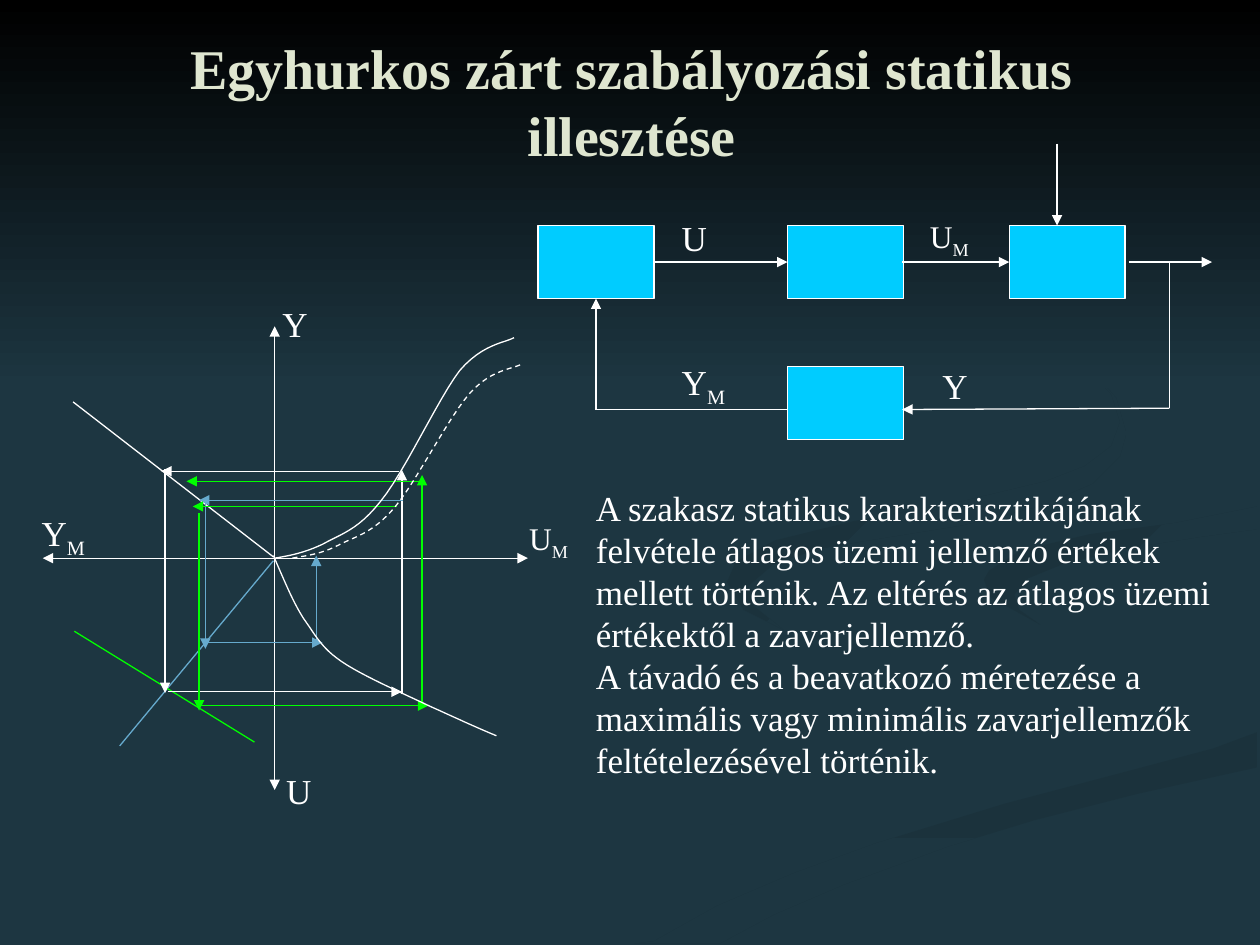
from dataclasses import dataclass

from pptx import Presentation
from pptx.dml.color import RGBColor
from pptx.enum.dml import MSO_LINE
from pptx.enum.shapes import MSO_CONNECTOR, MSO_SHAPE
from pptx.enum.text import MSO_ANCHOR, MSO_AUTO_SIZE, PP_ALIGN
from pptx.oxml.ns import qn
from pptx.util import Inches, Pt
from lxml.etree import SubElement

Point = tuple[float, float]


@dataclass(frozen=True)
class Theme:
    font: str = "Times New Roman"
    ground: str = "1D3641"
    shade: str = "1B323C"
    haze: str = "1C343E"
    black: str = "000000"
    white: str = "FFFFFF"
    title: str = "DFE6D0"
    block: str = "00CCFF"
    blue: str = "66AACD"
    green: str = "00FF00"
    title_size: float = 32
    text_size: float = 20
    small_size: float = 18
    line_width: float = 0.75


@dataclass(frozen=True)
class Line:
    start: Point
    end: Point
    color: str
    arrows: str = ""  # "tail", "head" or "head tail"


@dataclass(frozen=True)
class Label:
    left: float
    top: float
    letter: str
    subscript: str = ""
    size: float = 20


@dataclass(frozen=True)
class Swirl:
    start_color: str
    end_color: str
    angle: float
    points: list[Point]


@dataclass(frozen=True)
class Curve:
    points: list[Point]  # start, then two controls and an end per segment
    dashed: bool = False


THEME = Theme()
WHITE, BLUE, GREEN = THEME.white, THEME.blue, THEME.green

SWIRLS = [
    Swirl(THEME.ground, THEME.haze, 0, [
        (7.81, 5.53), (7.45, 5.38), (6.82, 5.19), (6.26, 5.02), (5.94, 4.85), (5.76, 4.69),
        (5.75, 4.59), (5.7, 4.7), (5.86, 4.87), (6.31, 5.05), (6.97, 5.25), (7.52, 5.43),
        (7.81, 5.56), (7.86, 5.66), (7.74, 5.83), (7.39, 5.98), (6.84, 6.13), (5.79, 6.39),
        (4.99, 6.61), (4.17, 6.9), (3.38, 7.27), (3, 7.49), (3.61, 7.49), (4.31, 7.14),
        (4.99, 6.87), (5.64, 6.65), (6.51, 6.4), (7.4, 6.18), (7.86, 6.01), (8, 5.81), (7.92, 5.61)]),
    Swirl(THEME.ground, THEME.haze, 315, [
        (9.43, 5.7), (9.3, 5.53), (9.05, 5.4), (8.5, 5.24), (7.92, 5.09), (7.45, 4.9),
        (7.24, 4.64), (7.33, 4.88), (7.66, 5.12), (8.15, 5.3), (8.68, 5.44), (9, 5.57),
        (9.18, 5.81), (8.94, 6.05), (9.25, 5.93), (9.41, 5.81)]),
    Swirl(THEME.shade, THEME.ground, 270, [
        (5.19, 7.47), (5.03, 7.49), (5.71, 7.49), (6.14, 7.26), (6.7, 7.02), (7.52, 6.72),
        (8.21, 6.51), (9.03, 6.3), (9.98, 6.09), (9.98, 5.81), (9.63, 5.94), (9.03, 6.1),
        (7.97, 6.38), (6.96, 6.69), (6.3, 6.93), (5.69, 7.19)]),
    Swirl(THEME.shade, THEME.ground, 315, [
        (7.81, 4.6), (7.86, 4.74), (8.26, 4.96), (8.09, 4.84), (8.05, 4.72), (8.16, 4.59),
        (8.43, 4.48), (8.96, 4.35), (9.54, 4.26), (9.98, 4.2), (9.98, 4.02), (9.33, 4.15),
        (8.65, 4.24), (8.1, 4.37), (7.85, 4.53)]),
    Swirl(THEME.shade, THEME.ground, 315, [
        (6.83, 4.3), (7.64, 4.17), (8.25, 4.02), (8.67, 3.84), (8.89, 3.62), (8.94, 3.44),
        (8.86, 3.16), (8.64, 2.91), (8.21, 2.61), (7.62, 2.33), (8.26, 2.66), (8.62, 2.92),
        (8.82, 3.13), (8.89, 3.35), (8.82, 3.54), (8.61, 3.7), (8.3, 3.82), (7.63, 3.98),
        (6.76, 4.14), (6.15, 4.29), (5.84, 4.46), (5.77, 4.62), (5.9, 4.84), (6.22, 5),
        (5.97, 4.8), (5.94, 4.65), (6.14, 4.48), (6.49, 4.36)]),
    Swirl(THEME.black, THEME.ground, 270, [(0, 0), (10, 0), (10, 3.08), (0, 3.08)]),
]

BLOCK_SIZE = (0.92, 0.58)
BLOCKS = [(4.27, 1.79), (6.25, 1.79), (8.01, 1.79), (6.25, 2.91)]

LINES = [
    # Control loop
    Line((4.73, 3.25), (4.73, 2.37), WHITE, "tail"),
    Line((4.73, 3.25), (6.25, 3.25), WHITE),
    Line((8.96, 2.08), (9.62, 2.08), WHITE, "tail"),
    Line((9.28, 3.24), (7.16, 3.25), WHITE, "tail"),
    Line((9.28, 3.24), (9.28, 2.08), WHITE),
    Line((5.2, 2.08), (6.25, 2.08), WHITE, "tail"),
    Line((7.16, 2.08), (8.01, 2.08), WHITE, "tail"),
    Line((8.39, 1.14), (8.39, 1.79), WHITE, "tail"),
    # Axes
    Line((2.18, 6.27), (2.18, 2.59), WHITE, "head tail"),
    Line((0.34, 4.43), (4.19, 4.43), WHITE, "head tail"),
    # Straight characteristics
    Line((0.58, 3.19), (2.17, 4.42), WHITE),
    Line((2.17, 4.45), (0.95, 5.92), BLUE),
    Line((0.59, 5.01), (2.02, 5.89), GREEN),
    # White working cycle
    Line((3.19, 5.51), (3.19, 3.73), WHITE, "tail"),
    Line((3.17, 3.74), (1.28, 3.74), WHITE, "tail"),
    Line((1.33, 5.49), (3.19, 5.49), WHITE, "tail"),
    Line((1.31, 5.5), (1.31, 3.72), WHITE, "head"),
    # Blue working cycle
    Line((3.2, 3.97), (1.58, 3.97), BLUE, "tail"),
    Line((1.63, 3.97), (1.63, 5.15), BLUE, "tail"),
    Line((1.63, 5.1), (2.56, 5.1), BLUE, "tail"),
    Line((2.51, 5.1), (2.51, 4.41), BLUE, "tail"),
    # Green working cycle
    Line((3.15, 4.02), (1.53, 4.02), GREEN, "tail"),
    Line((1.58, 4.07), (1.58, 5.64), GREEN, "tail"),
    Line((1.58, 5.6), (3.4, 5.6), GREEN, "tail"),
    Line((3.35, 5.6), (3.35, 3.77), GREEN, "tail"),
    Line((3.37, 3.82), (1.48, 3.82), GREEN, "tail"),
]

CURVES = [
    Curve([(2.18, 4.43), (2.3, 4.41), (2.41, 4.39), (2.56, 4.32), (2.7, 4.24), (2.84, 4.21),
           (3.02, 3.98), (3.21, 3.75), (3.48, 3.16), (3.65, 2.94), (3.83, 2.73), (4.01, 2.72), (4.08, 2.68)]),
    Curve([(2.17, 4.41), (2.25, 4.59), (2.32, 4.77), (2.41, 4.91), (2.51, 5.05), (2.55, 5.14),
           (2.71, 5.25), (2.87, 5.36), (3.19, 5.5), (3.4, 5.6), (3.6, 5.69), (3.77, 5.77), (3.94, 5.84)]),
    Curve([(2.32, 4.43), (2.43, 4.41), (2.54, 4.4), (2.68, 4.33), (2.81, 4.26), (2.95, 4.24),
           (3.13, 4.03), (3.3, 3.83), (3.56, 3.31), (3.73, 3.12), (3.9, 2.93), (4.07, 2.93), (4.14, 2.89)], True),
]

LABELS = [
    Label(2.22, 2.4, "Y"), Label(4.18, 4.12, "U", "M", THEME.small_size),
    Label(2.25, 6.11, "U"), Label(0.31, 4.06, "Y", "M"),
    Label(7.46, 2.89, "Y"), Label(7.36, 1.72, "U", "M", THEME.small_size),
    Label(5.39, 1.72, "U"), Label(5.39, 2.86, "Y", "M"),
]

BODY = [
    [("A szakasz statikus karakterisztikájának felvétele átlagos üzemi jellemző értékek mellett történik",
      THEME.text_size), (". ", THEME.small_size),
     ("Az eltérés az átlagos üzemi értékektől a zavarjellemző.", THEME.text_size)],
    [("A távadó és a beavatkozó méretezése a maximális vagy minimális zavarjellemzők "
      "feltételezésével történik.", THEME.text_size)],
]


def rgb(color: str) -> RGBColor:
    return RGBColor.from_string(color)


def set_line(shape, color: str) -> None:
    shape.line.color.rgb = rgb(color)
    shape.line.width = Pt(THEME.line_width)


def add_span(para, text: str, size: float, color: str = WHITE):
    span = para.add_run()
    span.text = text
    span.font.name, span.font.size = THEME.font, Pt(size)
    span.font.color.rgb = rgb(color)
    return span


def add_outline(page, points: list[Point], close: bool):
    corners = [(Inches(x), Inches(y)) for x, y in points]
    builder = page.shapes.build_freeform(*corners[0])
    builder.add_line_segments(corners[1:], close=close)
    shape = builder.convert_to_shape()
    shape.shadow.inherit = False
    return shape


def add_swirl(page, swirl: Swirl) -> None:
    shape = add_outline(page, swirl.points, True)
    shape.line.fill.background()
    shape.fill.gradient()
    shape.fill.gradient_angle = swirl.angle
    for stop, color in zip(shape.fill.gradient_stops, (swirl.start_color, swirl.end_color)):
        stop.color.rgb = rgb(color)


def add_curve(page, curve: Curve, steps: int = 12) -> None:
    points = curve.points[:1]
    for i in range(0, len(curve.points) - 1, 3):
        a, b, c, d = curve.points[i:i + 4]
        for t in (step / steps for step in range(1, steps + 1)):
            u = 1 - t
            points.append(tuple(u**3 * a[k] + 3 * u * u * t * b[k] + 3 * u * t * t * c[k] + t**3 * d[k]
                                for k in (0, 1)))
    shape = add_outline(page, points, False)
    shape.fill.background()
    set_line(shape, WHITE)
    if curve.dashed:
        shape.line.dash_style = MSO_LINE.DASH


def add_block(page, left: float, top: float) -> None:
    block = page.shapes.add_shape(MSO_SHAPE.RECTANGLE, *map(Inches, (left, top, *BLOCK_SIZE)))
    block.shadow.inherit = False
    block.fill.solid()
    block.fill.fore_color.rgb = rgb(THEME.block)
    set_line(block, WHITE)


def add_line(page, line: Line) -> None:
    connector = page.shapes.add_connector(MSO_CONNECTOR.STRAIGHT, *map(Inches, line.start + line.end))
    set_line(connector, line.color)
    for end in line.arrows.split():
        SubElement(connector.line._get_or_add_ln(), qn(f"a:{end}End"), type="triangle")
    SubElement(connector._element.spPr, qn("a:effectLst"))


def add_box(page, left: float, top: float, width: float, height: float, side: float):
    frame = page.shapes.add_textbox(*map(Inches, (left, top, width, height))).text_frame
    frame.word_wrap, frame.auto_size = True, MSO_AUTO_SIZE.SHAPE_TO_FIT_TEXT
    frame.margin_left = frame.margin_right = Inches(side)
    frame.margin_top = frame.margin_bottom = 0
    return frame


def add_label(page, label: Label) -> None:
    width = 0.45 if label.subscript else 0.28
    para = add_box(page, label.left, label.top, width, label.size / 60, 0.02).paragraphs[0]
    add_span(para, label.letter, label.size)
    if label.subscript:
        span = add_span(para, label.subscript, label.size)
        span.font._element.set("baseline", "-25000")


def add_title(page, text: str) -> None:
    title = page.shapes.title
    title.left, title.top, title.width, title.height = map(Inches, (0.75, 0.26, 8.53, 1.08))
    title.text_frame.vertical_anchor = MSO_ANCHOR.MIDDLE
    para = title.text_frame.paragraphs[0]
    para.alignment = PP_ALIGN.CENTER
    add_span(para, text, THEME.title_size, THEME.title).font.bold = True
    page.shapes._spTree.append(title._element)  # in front of the background


def main() -> None:
    deck = Presentation()
    deck.slide_width, deck.slide_height = Inches(10), Inches(7.5)
    page = deck.slides.add_slide(deck.slide_layouts[5])
    page.background.fill.solid()
    page.background.fill.fore_color.rgb = rgb(THEME.ground)

    # Background and title
    for swirl in SWIRLS:
        add_swirl(page, swirl)
    add_title(page, "Egyhurkos zárt szabályozási statikus illesztése")

    # Control loop and characteristics
    for left, top in BLOCKS:
        add_block(page, left, top)
    for line in LINES:
        add_line(page, line)
    for curve in CURVES:
        add_curve(page, curve)
    for label in LABELS:
        add_label(page, label)

    # Explanation
    frame = add_box(page, 4.73, 3.86, 4.89, 2.33, 0)
    for i, spans in enumerate(BODY):
        para = frame.add_paragraph() if i else frame.paragraphs[0]
        for text, size in spans:
            add_span(para, text, size)

    deck.save("out.pptx")


if __name__ == "__main__":
    main()
